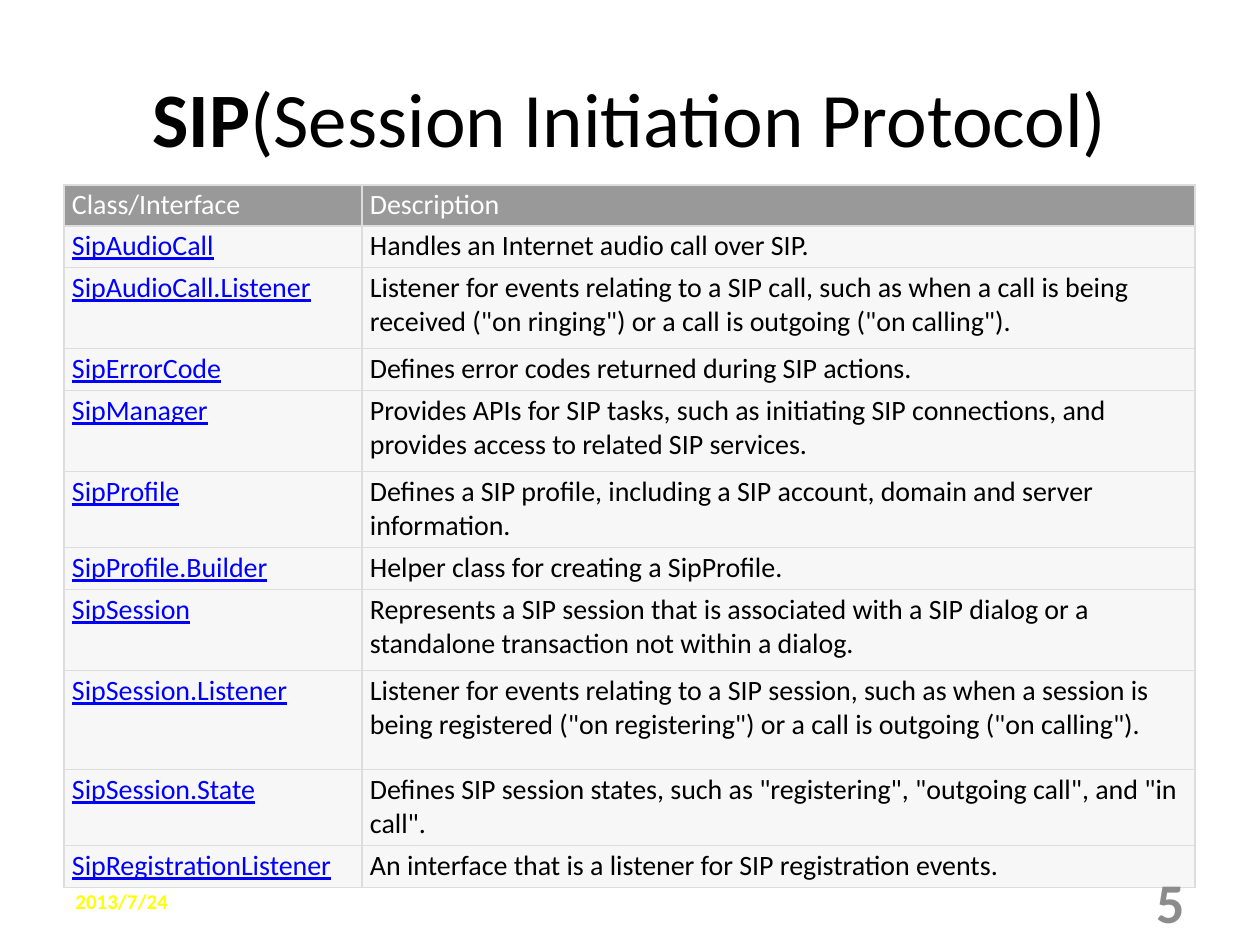
from dataclasses import dataclass

from lxml.etree import SubElement
from pptx import Presentation
from pptx.dml.color import RGBColor
from pptx.enum.text import MSO_ANCHOR, PP_ALIGN
from pptx.oxml.ns import qn
from pptx.util import Pt

# Content
TITLE = [("SIP", True), ("(Session Initiation Protocol)", False)]
DATE = [("2013/7/24", True)]
PAGE = [("5", True)]

# Class, description, row height in px
ROWS = [
    ("Class/Interface", "Description", 41),
    ("SipAudioCall", "Handles an Internet audio call over SIP.", 42),
    ("SipAudioCall.Listener",
     "Listener for events relating to a SIP call, such as when a call is being "
     'received ("on ringing") or a call is outgoing ("on calling").', 81),
    ("SipErrorCode", "Defines error codes returned during SIP actions.", 42),
    ("SipManager",
     "Provides APIs for SIP tasks, such as initiating SIP connections, and "
     "provides access to related SIP services.", 81),
    ("SipProfile",
     "Defines a SIP profile, including a SIP account, domain and server "
     "information.", 76),
    ("SipProfile.Builder", "Helper class for creating a SipProfile.", 42),
    ("SipSession",
     "Represents a SIP session that is associated with a SIP dialog or a "
     "standalone transaction not within a dialog.", 81),
    ("SipSession.Listener",
     "Listener for events relating to a SIP session, such as when a session is "
     'being registered ("on registering") or a call is outgoing ("on calling").', 99),
    ("SipSession.State",
     'Defines SIP session states, such as "registering", "outgoing call", and '
     '"in call".', 76),
    ("SipRegistrationListener",
     "An interface that is a listener for SIP registration events.", 42),
]
COLS = (298, 833)


@dataclass(frozen=True)
class Theme:
    face: str = "Calibri"
    ink: str = "000000"
    link: str = "0000FF"
    head: str = "999999"
    body: str = "F7F7F7"
    white: str = "FFFFFF"
    rule: str = "DDDDDD"
    date: str = "FFFF00"
    page: str = "8C8C8C"
    title_size: int = 44
    cell_size: int = 16
    date_size: int = 12
    page_size: int = 32


THEME = Theme()


def px(n):
    return n * 914400 // 126


def style(para, size, color):
    para.font.name = THEME.face
    para.font.size = Pt(size)
    para.font.color.rgb = RGBColor.from_string(color)


def add_text(slide, box, parts, size, color, align):
    frame = slide.shapes.add_textbox(*map(px, box)).text_frame
    frame.word_wrap = True
    frame.vertical_anchor = MSO_ANCHOR.MIDDLE
    para = frame.paragraphs[0]
    para.alignment = align
    style(para, size, color)
    for text, bold in parts:
        run = para.add_run()
        run.text = text
        run.font.bold = bold


def add_rules(cell):
    props = cell._tc.get_or_add_tcPr()
    for side in ("lnL", "lnR", "lnT", "lnB"):
        line = SubElement(props, qn(f"a:{side}"), w=str(Pt(0.75)))
        fill = SubElement(line, qn("a:solidFill"))
        SubElement(fill, qn("a:srgbClr"), val=THEME.rule)


def fill_cell(cell, text, head, link):
    cell.margin_left = cell.margin_right = px(8)
    cell.margin_top = cell.margin_bottom = px(3)
    add_rules(cell)
    cell.fill.solid()
    cell.fill.fore_color.rgb = RGBColor.from_string(THEME.head if head else THEME.body)
    cell.text = text
    para = cell.text_frame.paragraphs[0]
    color = THEME.white if head else THEME.link if link else THEME.ink
    style(para, THEME.cell_size, color)
    para.font.bold = False
    para.font.underline = link and not head


def add_grid(slide, left, top):
    high = sum(row[-1] for row in ROWS)
    size = map(px, (left, top, sum(COLS), high))
    table = slide.shapes.add_table(len(ROWS), len(COLS), *size).table
    table.horz_banding = False
    for col, wide in zip(table.columns, COLS):
        col.width = px(wide)
    for r, (*texts, tall) in enumerate(ROWS):
        table.rows[r].height = px(tall)
        for c, text in enumerate(texts):
            fill_cell(table.cell(r, c), text, head=r == 0, link=c == 0)


def main():
    deck = Presentation()
    deck.slide_width, deck.slide_height = px(1260), px(945)
    slide = deck.slides.add_slide(deck.slide_layouts[6])

    # Title and table
    add_text(slide, (63, 38, 1134, 157), TITLE,
             THEME.title_size, THEME.ink, PP_ALIGN.CENTER)
    add_grid(slide, 64, 185)

    # Footer
    add_text(slide, (63, 876, 294, 50), DATE,
             THEME.date_size, THEME.date, PP_ALIGN.LEFT)
    add_text(slide, (903, 876, 294, 50), PAGE,
             THEME.page_size, THEME.page, PP_ALIGN.RIGHT)
    deck.save("out.pptx")


if __name__ == "__main__":
    main()
